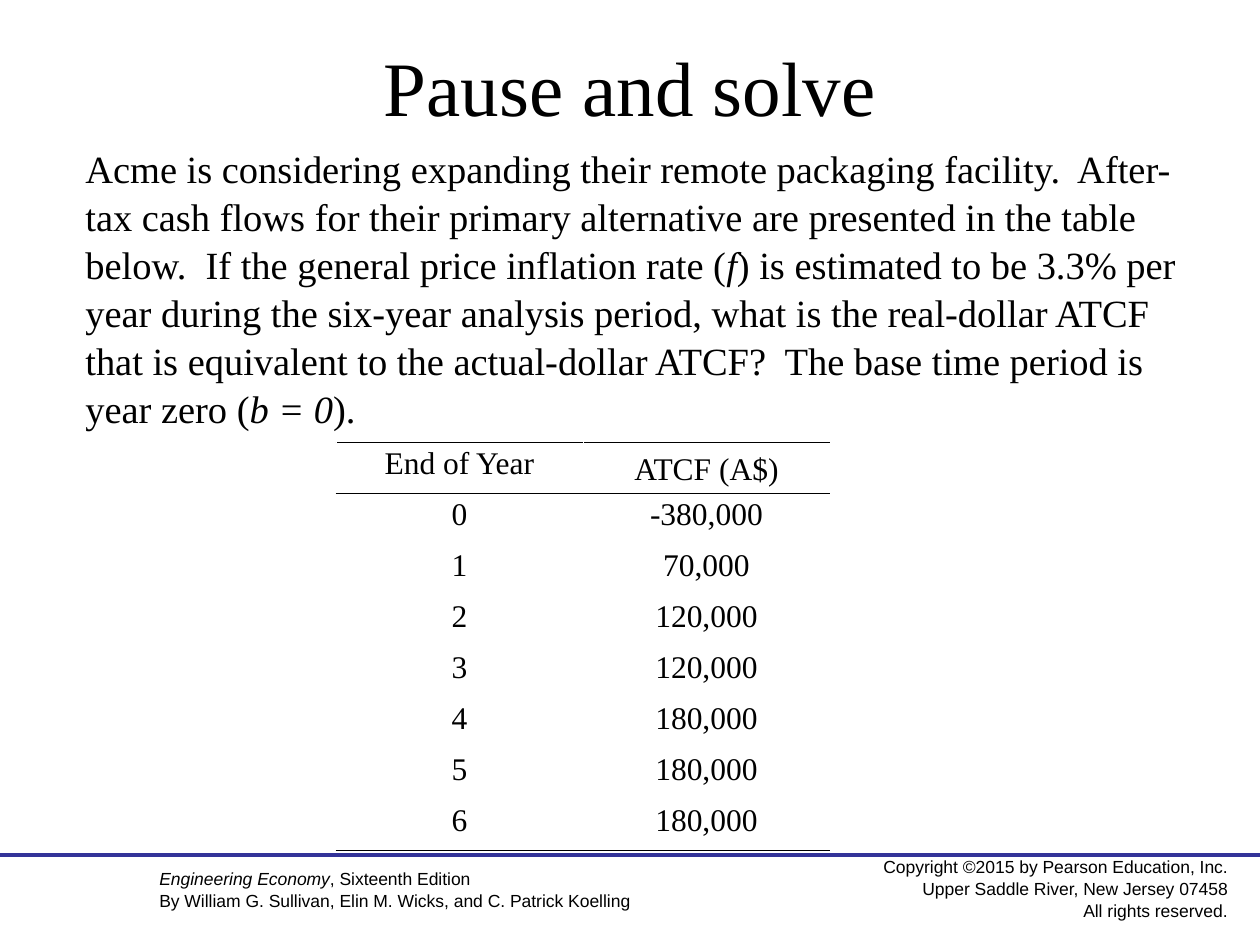
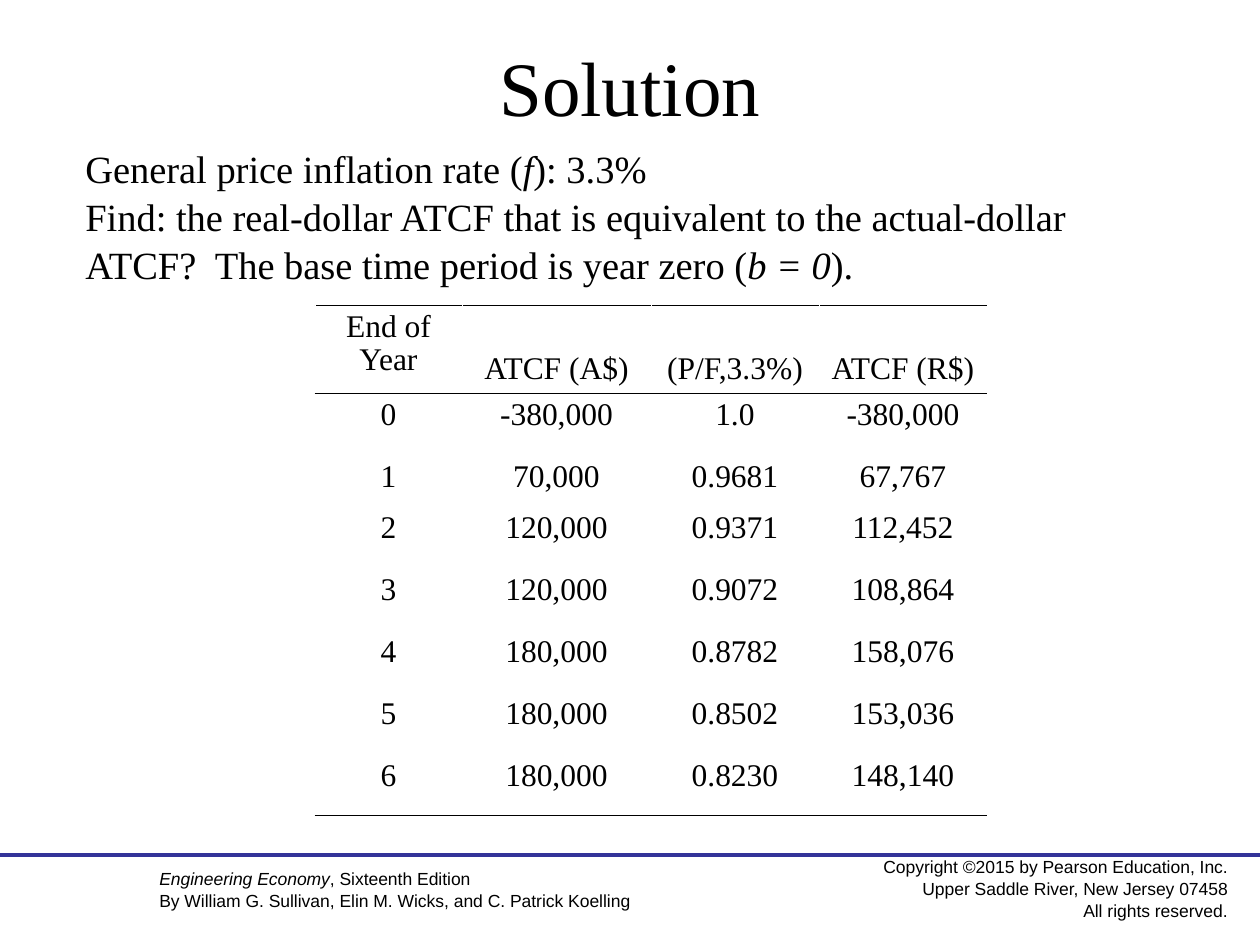
from dataclasses import dataclass

from lxml.etree import SubElement
from pptx import Presentation
from pptx.dml.color import RGBColor
from pptx.enum.shapes import MSO_CONNECTOR
from pptx.enum.text import MSO_ANCHOR, PP_ALIGN
from pptx.oxml import parse_xml
from pptx.oxml.ns import nsdecls, qn
from pptx.util import Pt


@dataclass(frozen=True)
class Theme:
    """Colours, fonts and type sizes shared by the slides."""
    ink: str = "000000"
    paper: str = "FFFFFF"
    rule: str = "333399"
    serif: str = "Times New Roman"
    sans: str = "Arial"
    title: int = 44
    body: int = 22
    cell: int = 18
    footer: int = 10


THEME = Theme()
SLIDE = (0, 0, 1260, 945)
TITLE = (95, 31, 1070, 105)
FOOTER = (0, 855, 1260, 90)


def px(n):
    """Turn pixels at 126 to the inch into EMU."""
    return round(n * 914400 / 126)


def write(tf, text, size, font=THEME.serif, align=PP_ALIGN.LEFT, spacing=1.04):
    """Write one paragraph per line, with *asterisks* around italic runs."""
    for i, line in enumerate(text.split("\n")):
        p = tf.add_paragraph() if i else tf.paragraphs[0]
        p.alignment = align
        p.line_spacing = spacing
        for j, part in enumerate(line.split("*")):
            if part:
                r = p.add_run()
                r.text = part
                r.font.name = font
                r.font.size = Pt(size)
                r.font.italic = j % 2 == 1
                r.font.color.rgb = RGBColor.from_string(THEME.ink)


def add_text(s, box, text, size, anchor=MSO_ANCHOR.TOP, **fmt):
    """Add a wrapping text box."""
    tf = s.shapes.add_textbox(*map(px, box)).text_frame
    tf.word_wrap = True
    tf.vertical_anchor = anchor
    write(tf, text, size, **fmt)


def add_footer(s, box):
    """Draw the rule with the book credit and the copyright below it."""
    x, y, w, h = box
    line = s.shapes.add_connector(MSO_CONNECTOR.STRAIGHT, px(x), px(y), px(x + w), px(y))
    line.line.color.rgb = RGBColor.from_string(THEME.rule)
    line.line.width = Pt(2.25)
    SubElement(line._element.spPr, qn("a:effectLst"))
    add_text(s, (x + 147, y + 6, 630, 56),
             "*Engineering Economy*, Sixteenth Edition\n"
             "By William G. Sullivan, Elin M. Wicks, and C. Patrick Koelling",
             THEME.footer, font=THEME.sans)
    add_text(s, (x + w - 420, y - 4, 400, 74),
             "Copyright ©2015 by Pearson Education, Inc.\n"
             "Upper Saddle River, New Jersey 07458\nAll rights reserved.",
             THEME.footer, MSO_ANCHOR.MIDDLE, font=THEME.sans, align=PP_ALIGN.RIGHT)


def set_borders(cell, top, bottom):
    """Give a cell thin borders, with paper-coloured sides."""
    colours = {"lnL": THEME.paper, "lnR": THEME.paper, "lnT": top, "lnB": bottom}
    tcPr = cell._tc.get_or_add_tcPr()
    for i, (tag, colour) in enumerate(colours.items()):
        tcPr.insert(i, parse_xml(
            f'<a:{tag} {nsdecls("a")} w="5715"><a:solidFill>'
            f'<a:srgbClr val="{colour}"/></a:solidFill></a:{tag}>'))


def add_cash_flows(s, origin, widths, heights, rows):
    """Add a table ruled above and below its header and below its last row."""
    x, y = origin
    frame = s.shapes.add_table(len(rows), len(widths), px(x), px(y),
                               px(sum(widths)), px(sum(heights)))
    table = frame.table
    table.first_row = table.horz_banding = False
    for column, width in zip(table.columns, widths):
        column.width = px(width)
    for i, (row, height) in enumerate(zip(rows, heights)):
        table.rows[i].height = px(height)
        top = THEME.ink if i < 2 else THEME.paper
        bottom = THEME.ink if i in (0, len(rows) - 1) else THEME.paper
        for j, value in enumerate(row):
            cell = table.cell(i, j)
            cell.fill.background()
            if i == 0 and j:
                cell.vertical_anchor = MSO_ANCHOR.BOTTOM
            write(cell.text_frame, value, THEME.cell, align=PP_ALIGN.CENTER, spacing=0.95)
            set_borders(cell, top, bottom)


def add_problem_slide(prs, title, text, text_height, **table):
    """Add a slide with a title, a text, a cash flow table and the footer."""
    s = prs.slides.add_slide(prs.slide_layouts[6])
    add_footer(s, FOOTER)
    add_text(s, (73, 137, 1124, text_height), text, THEME.body)
    add_cash_flows(s, **table)
    add_text(s, TITLE, title, THEME.title, MSO_ANCHOR.MIDDLE, align=PP_ALIGN.CENTER)


def main():
    """Build both slides and save them."""
    prs = Presentation()
    prs.slide_width, prs.slide_height = map(px, SLIDE[2:])
    years = ["End of Year", *map(str, range(7))]
    actual = ["ATCF (A$)", "-380,000", "70,000", "120,000", "120,000",
              "180,000", "180,000", "180,000"]
    factors = ["(P/F,3.3%)", "1.0", "0.9681", "0.9371", "0.9072",
               "0.8782", "0.8502", "0.8230"]
    real = ["ATCF (R$)", "-380,000", "67,767", "112,452", "108,864",
            "158,076", "153,036", "148,140"]
    add_problem_slide(
        prs, "Pause and solve",
        "Acme is considering expanding their remote packaging facility.  After-tax cash "
        "flows for their primary alternative are presented in the table below.  If the "
        "general price inflation rate (*f*) is estimated to be 3.3% per year during the "
        "six-year analysis period, what is the real-dollar ATCF that is equivalent to the "
        "actual-dollar ATCF?  The base time period is year zero (*b = 0*).", 290,
        origin=(336, 442), widths=[247, 247], heights=[51] * 8,
        rows=list(zip(years, actual)))
    add_problem_slide(
        prs, "Solution",
        "General price inflation rate (*f*): 3.3%\n"
        "Find: the real-dollar ATCF that is equivalent to the actual-dollar ATCF?  "
        "The base time period is year zero (*b = 0*).", 151,
        origin=(315, 305), widths=[147, 189, 168, 168], heights=[88, 62, 51] + [62] * 5,
        rows=list(zip(years, actual, factors, real)))
    prs.save("out.pptx")


if __name__ == "__main__":
    main()
